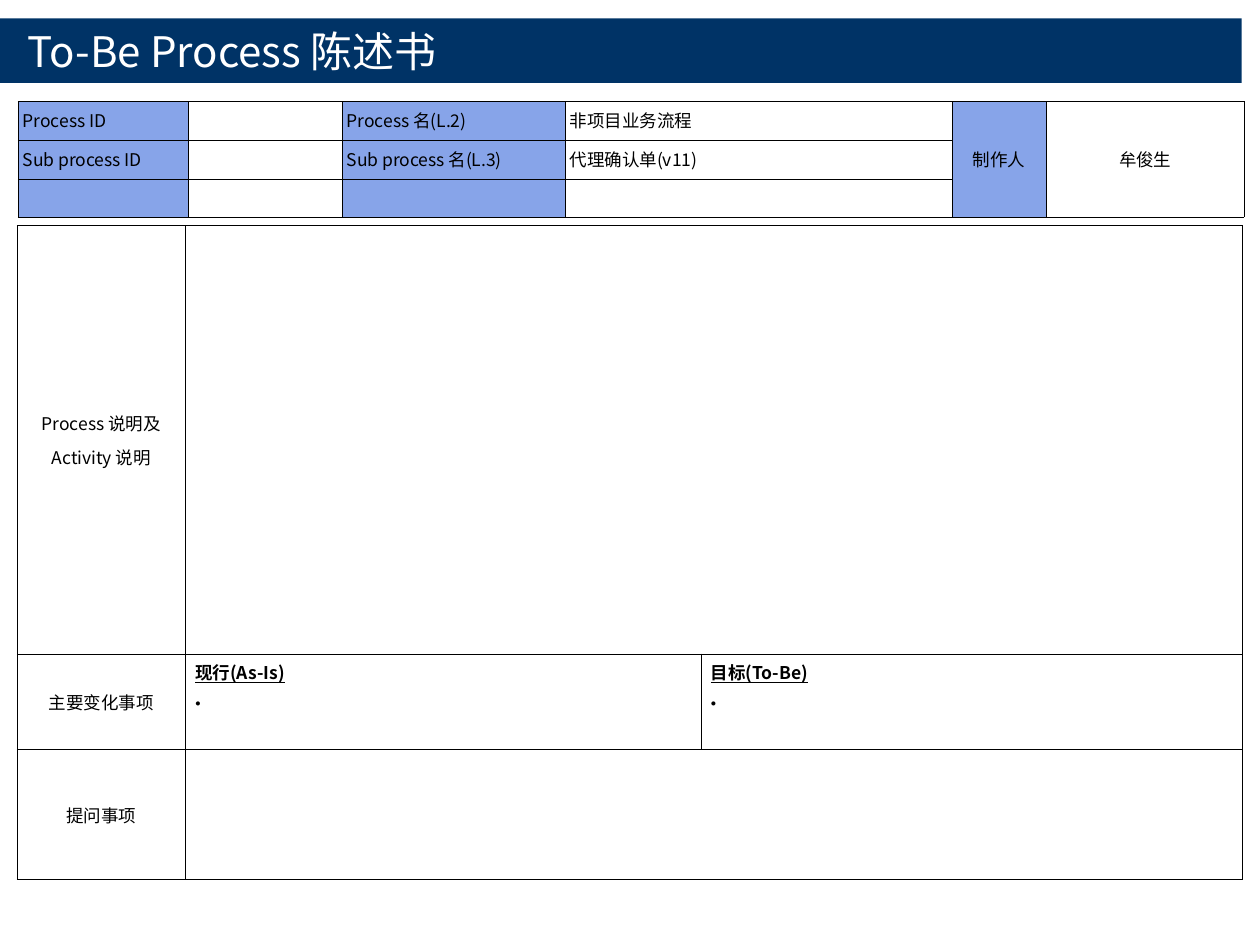
from lxml.etree import SubElement
from pptx import Presentation
from pptx.dml.color import RGBColor
from pptx.enum.text import MSO_ANCHOR, PP_ALIGN
from pptx.oxml.ns import qn
from pptx.util import Cm, Pt

COLORS = {"navy": "003366", "label": "87A4E9", "white": "FFFFFF", "black": "000000"}
FONT = "Noto Sans CJK KR"


def rgb(name):
    return RGBColor.from_string(COLORS[name])


def set_font(paragraph, size, color, heading=False):
    font = paragraph.font
    font.name, font.size = FONT, Pt(size)
    font.color.rgb = rgb(color)
    if heading:
        font.bold = font.underline = True
    east_asian = SubElement(font._element, qn("a:ea"))
    east_asian.set("typeface", FONT)


def add_bullet(paragraph):
    properties = paragraph._p.get_or_add_pPr()
    bullet_color = SubElement(properties, qn("a:buClr"))
    SubElement(bullet_color, qn("a:srgbClr")).set("val", COLORS["black"])
    SubElement(properties, qn("a:buSzPct")).set("val", "90000")
    SubElement(properties, qn("a:buChar")).set("char", "•")


def set_borders(cell):
    properties = cell._tc.get_or_add_tcPr()
    for side in ("lnL", "lnR", "lnT", "lnB"):
        border = SubElement(properties, qn(f"a:{side}"), w=str(Pt(0.11)))
        fill = SubElement(border, qn("a:solidFill"))
        SubElement(fill, qn("a:srgbClr")).set("val", COLORS["black"])


def write_cell(cell, lines, centered=False):
    cell.margin_left = cell.margin_right = Cm(0.1)
    cell.margin_top = cell.margin_bottom = Cm(0.12)
    if centered:
        cell.vertical_anchor = MSO_ANCHOR.MIDDLE
    cell.text = "\n".join(lines)
    for index, paragraph in enumerate(cell.text_frame.paragraphs):
        paragraph.alignment = PP_ALIGN.CENTER if centered else PP_ALIGN.LEFT
        paragraph.space_before = Pt(2.5 if index else 0)
        paragraph.space_after = Pt(2.5)
        set_font(paragraph, 10, "black")
        if not paragraph.runs:
            SubElement(paragraph._p, qn("a:endParaRPr")).set("sz", "1000")


def write_change(cell, heading):
    """A heading over an open bullet."""
    cell.margin_left, cell.margin_right = Cm(0.2), Cm(0.1)
    cell.margin_top = cell.margin_bottom = Cm(0.12)
    cell.text = f"{heading}\n "
    title, item = cell.text_frame.paragraphs
    for paragraph in (title, item):
        properties = paragraph._p.get_or_add_pPr()
        properties.set("marL", str(Cm(0.23)))
        properties.set("indent", str(-Cm(0.23)))
        paragraph.space_after = Pt(2.5)
    item.space_before = Pt(2.5)
    add_bullet(item)
    set_font(title, 10, "black", heading=True)
    set_font(item, 10, "black")


def add_grid(slide, left, top, widths, heights):
    """An unstyled table with thin black borders."""
    frame = slide.shapes.add_table(len(heights), len(widths), Cm(left), Cm(top),
                                   Cm(sum(widths)), Cm(sum(heights)))
    table = frame.table
    table.first_row = table.horz_banding = False
    for column, width in zip(table.columns, widths):
        column.width = Cm(width)
    for row, height in zip(table.rows, heights):
        row.height = Cm(height)
    for cell in table.iter_cells():
        set_borders(cell)
        cell.fill.solid()
        cell.fill.fore_color.rgb = rgb("white")
    return table


def add_title(slide, left, top, width, height):
    title = slide.shapes.title
    title.left, title.top, title.width, title.height = map(Cm, (left, top, width, height))
    title.fill.solid()
    title.fill.fore_color.rgb = rgb("navy")
    frame = title.text_frame
    frame.text = "To-Be Process 陈述书"
    frame.vertical_anchor = MSO_ANCHOR.MIDDLE
    frame.margin_left, frame.margin_right = Cm(0.56), Cm(0.25)
    frame.margin_top = frame.margin_bottom = Cm(0.13)
    frame.paragraphs[0].alignment = PP_ALIGN.LEFT
    set_font(frame.paragraphs[0], 24, "white")


def add_description(slide, left, top):
    table = add_grid(slide, left, top, (3.4, 10.39, 10.9), (8.64, 1.93, 2.62))
    topics = (("Process 说明及", "Activity 说明"), ("主要变化事项",), ("提问事项",))
    for row, lines in enumerate(topics):
        write_cell(table.cell(row, 0), lines, centered=True)
    for row in (0, 2):
        table.cell(row, 1).merge(table.cell(row, 2))
    for column, heading in enumerate(("现行(As-Is)", "目标(To-Be)"), start=1):
        write_change(table.cell(1, column), heading)


def add_identification(slide, left, top):
    table = add_grid(slide, left, top, (3.43, 3.1, 4.5, 7.8, 1.9, 3.99), (0.79, 0.79, 0.74))
    entries = (
        ("Process ID", "", "Process 名(L.2)", "非项目业务流程"),
        ("Sub process ID", "", "Sub process 名(L.3)", "代理确认单(v11)"),
        ("", "", "", ""),
    )
    for row, texts in enumerate(entries):
        for column, text in enumerate(texts):
            write_cell(table.cell(row, column), [text])
    # Author, across all rows
    for column, text in ((4, "制作人"), (5, "牟俊生")):
        table.cell(0, column).merge(table.cell(2, column))
        write_cell(table.cell(0, column), [text], centered=True)
    # Label columns
    for row in range(len(entries)):
        for column in (0, 2, 4):
            table.cell(row, column).fill.fore_color.rgb = rgb("label")


def main():
    deck = Presentation()
    deck.slide_width, deck.slide_height = Cm(25.4), Cm(19.05)
    slide = deck.slides.add_slide(deck.slide_layouts[5])
    add_title(slide, 0, 0.37, 25.03, 1.3)
    add_description(slide, 0.34, 4.54)
    add_identification(slide, 0.36, 2.04)
    deck.save("out.pptx")


if __name__ == "__main__":
    main()
